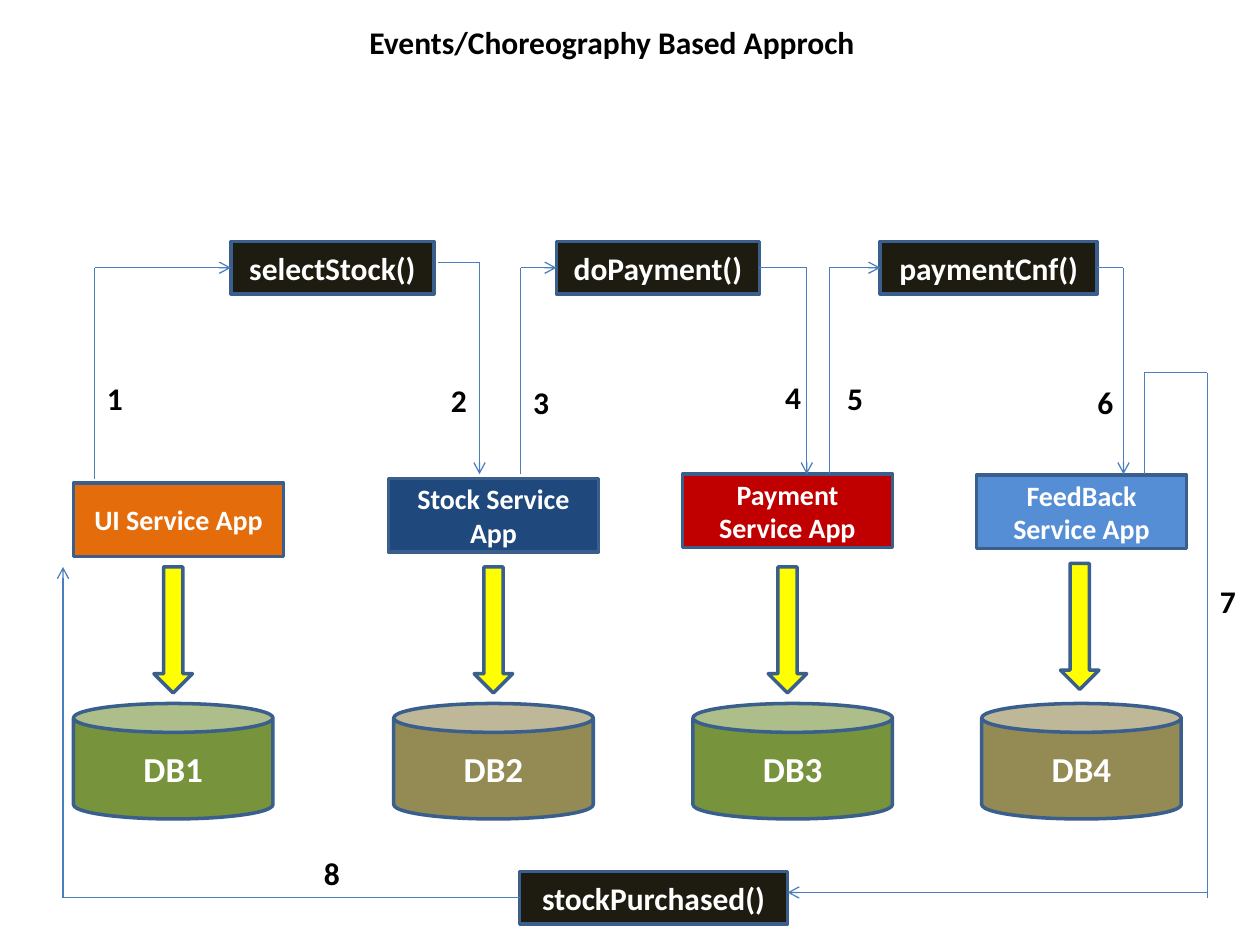
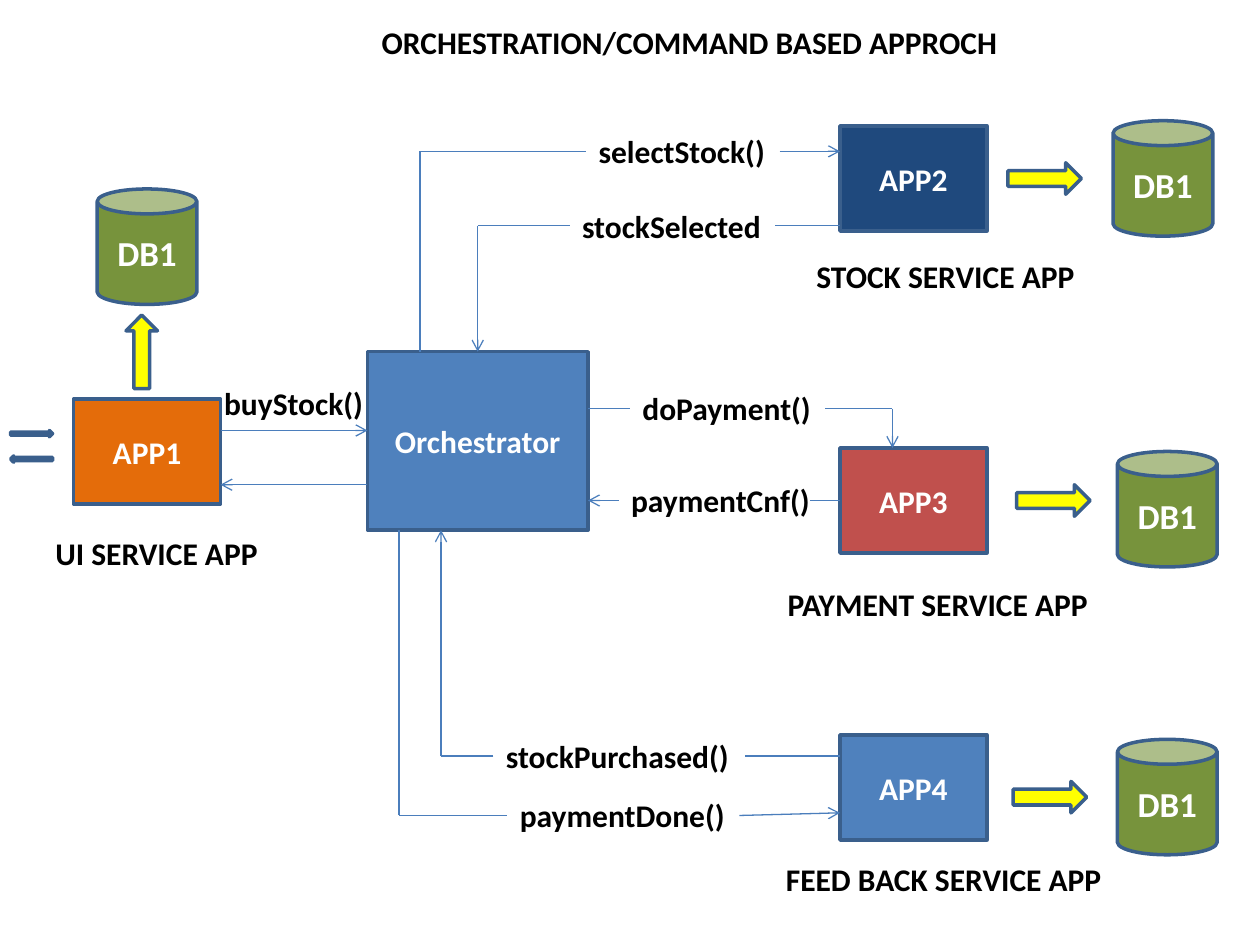
from lxml.etree import SubElement
from pptx import Presentation
from pptx.dml.color import RGBColor
from pptx.enum.shapes import MSO_CONNECTOR, MSO_SHAPE
from pptx.enum.text import MSO_ANCHOR, MSO_AUTO_SIZE, PP_ALIGN
from pptx.oxml.ns import qn
from pptx.util import Pt

COLORS = {
    "outline": "3A5F8C", "wire": "4B7EBC", "arrow": "FFFF00",
    "white": "FFFFFF", "black": "000000", "event": "1E1C11",
    "orange": "E46C0A", "navy": "1F497D", "red": "C00000", "sky": "558ED5",
    "brick": "C0504D", "blue": "4F81BD", "green": "77933C", "tan": "948A54",
}
FONT = {"name": "Calibri", "bold": True}
SHAPE_FRAME = {"word_wrap": True, "vertical_anchor": MSO_ANCHOR.MIDDLE}
LABEL_FRAME = {"word_wrap": False, "auto_size": MSO_AUTO_SIZE.SHAPE_TO_FIT_TEXT}
LABEL_H = 29
BOTTOM, LEFT, TOP, RIGHT = 2, 1, 0, 3


def rgb(name):
    """Return the palette colour with this name."""
    return RGBColor.from_string(COLORS[name])


def set_all(obj, formats):
    """Set every attribute in a dict of format values."""
    for key, value in formats.items():
        setattr(obj, key, value)


def write(sp, text, size, color, frame, align):
    """Put one formatted paragraph in a shape."""
    tf = sp.text_frame
    set_all(tf, frame)
    p = tf.paragraphs[0]
    p.alignment = align
    r = p.add_run()
    r.text = text
    set_all(r.font, {**FONT, "size": Pt(size)})
    r.font.color.rgb = rgb(color)


def add_box(s, kind, x, y, w, h, fill, text="", size=18):
    """Add an outlined preset shape, with centred white text if given."""
    sp = s.shapes.add_shape(kind, Pt(x), Pt(y), Pt(w), Pt(h))
    sp.shadow.inherit = False
    sp.fill.solid()
    sp.fill.fore_color.rgb = rgb(fill)
    sp.line.color.rgb = rgb("outline")
    sp.line.width = Pt(2)
    if text:
        write(sp, text, size, "white", SHAPE_FRAME, PP_ALIGN.CENTER)
    return sp


def add_rect(s, x, y, w, h, fill, text, size=18):
    """Add a labelled rectangle."""
    return add_box(s, MSO_SHAPE.RECTANGLE, x, y, w, h, fill, text, size)


def add_db(s, x, y, w, fill, text):
    """Add a database cylinder."""
    return add_box(s, MSO_SHAPE.CAN, x, y, w, 66, fill, text, 20)


def add_label(s, text, x, y, w):
    """Add a one-line black label."""
    sp = s.shapes.add_textbox(Pt(x), Pt(y), Pt(w), Pt(LABEL_H))
    write(sp, text, 18, "black", LABEL_FRAME, PP_ALIGN.LEFT)


def add_wire(s, *points, arrow=True, start=None, end=None):
    """Join points by straight connectors, with an arrowhead on the last."""
    wires = []
    for (x1, y1), (x2, y2) in zip(points, points[1:]):
        c = s.shapes.add_connector(
            MSO_CONNECTOR.STRAIGHT, Pt(x1), Pt(y1), Pt(x2), Pt(y2))
        c.line.color.rgb = rgb("wire")
        c.line.width = Pt(0.75)
        SubElement(c._element.spPr, qn("a:effectLst"))
        wires.append(c)
    if start:
        wires[0].begin_connect(*start)
    if end:
        wires[-1].end_connect(*end)
    if arrow:
        ln = wires[-1].line._get_or_add_ln()
        SubElement(ln, qn("a:tailEnd"), type="arrow")


def build_choreography(s):
    """Draw the services that call each other by events."""
    add_label(s, "Events/Choreography Based Approch", 204, 9.5, 324)

    services = [
        ("UI Service App", "orange", 42, 276, 42, 99, 324),
        ("Stock Service App", "navy", 222, 273.5, 225, 282, 324),
        ("Payment Service App", "red", 390, 271, 396, 450, 324),
        ("FeedBack Service App", "sky", 558, 271.5, 561, 617, 322),
    ]
    for i, (name, fill, x, y, db_x, arrow_mid, arrow_y) in enumerate(services):
        add_rect(s, x, y, 120, 42, fill, name, 16)
        add_db(s, db_x, 402, 114, ("green", "tan")[i % 2], f"DB{i + 1}")
        add_box(s, MSO_SHAPE.DOWN_ARROW, arrow_mid - 11, arrow_y, 22, 72, "arrow")

    events = [("selectStock()", 132, 138, 116), ("doPayment()", 318, 138, 116),
              ("paymentCnf()", 503, 138, 124), ("stockPurchased()", 297, 498, 153)]
    select, pay, confirm, purchased = [
        add_rect(s, x, y, w, 30, "event", name) for name, x, y, w in events]

    add_wire(s, (54, 274), (54, 153), (132, 153), end=(select, LEFT))
    add_wire(s, (250.5, 150), (274, 150), (274, 271))
    add_wire(s, (297.5, 271), (297.5, 153), (318, 153), end=(pay, LEFT))
    add_wire(s, (434, 153), (461, 153), (461, 271), start=(pay, RIGHT))
    add_wire(s, (474, 271), (474, 153), (503, 153), end=(confirm, LEFT))
    add_wire(s, (627, 153), (642, 153), (642, 271), start=(confirm, RIGHT))
    add_wire(s, (654, 271), (654, 213), (690, 213), (690, 513), arrow=False)
    add_wire(s, (690, 510), (450, 510))
    add_wire(s, (297, 513), (36, 513), (36, 324), start=(purchased, LEFT))

    steps = [(54, 213), (250.5, 214), (297.5, 215.5), (441.5, 212.5),
             (477, 213), (620, 215.5), (690, 329), (178, 484.5)]
    for number, (x, y) in enumerate(steps, 1):
        add_label(s, str(number), x, y, 24)


def build_orchestration(s):
    """Draw the orchestrator that commands the services."""
    add_label(s, "ORCHESTRATION/COMMAND BASED APPROCH", 211, 9.5, 369)

    add_rect(s, 42, 228, 84, 60, "orange", "APP1")
    add_db(s, 55.5, 108, 57, "green", "DB1")
    up = add_box(s, MSO_SHAPE.RIGHT_ARROW, 60, 192, 42, 18, "arrow")
    up.rotation = 270
    add_box(s, MSO_SHAPE.RIGHT_ARROW, 6, 246, 24, 3.6, "arrow")
    add_box(s, MSO_SHAPE.LEFT_ARROW, 6, 260.5, 24, 3.6, "blue")

    services = [
        ("APP2", "navy", 72, 576, 93, 636, 69),
        ("APP3", "brick", 256, 581, 277, 638.5, 258),
        ("APP4", "blue", 420, 579, 446.5, 638.5, 422.5),
    ]
    apps = {}
    for name, fill, y, arrow_x, arrow_y, db_x, db_y in services:
        apps[name] = add_rect(s, 480, y, 84, 60, fill, name)
        add_box(s, MSO_SHAPE.RIGHT_ARROW, arrow_x, arrow_y, 42, 18, "arrow")
        add_db(s, db_x, db_y, 57, "green", "DB1")
    hub = add_rect(s, 210, 201, 126, 102, "blue", "Orchestrator")

    add_wire(s, (126, 246), (210, 246))
    add_wire(s, (210, 277), (126, 277))
    add_wire(s, (240, 201), (240, 86.5), (335, 86.5), arrow=False)
    add_wire(s, (445.5, 86.5), (480, 86.5))
    add_wire(s, (480, 129), (443, 129), arrow=False)
    add_wire(s, (325.5, 129), (273, 129), (273, 201), end=(hub, TOP))
    add_wire(s, (336, 233.5), (360, 233.5), arrow=False)
    add_wire(s, (471.5, 233.5), (510, 233.5), (510, 256))
    add_wire(s, (480, 286), (463, 286), arrow=False, start=(apps["APP3"], LEFT))
    add_wire(s, (353.5, 286), (336, 286))
    add_wire(s, (228, 303), (228, 466), (290, 466), arrow=False)
    add_wire(s, (422.5, 466), (480, 464.5))
    add_wire(s, (480, 432), (425.5, 432), arrow=False)
    add_wire(s, (282, 432), (252, 432), (252, 303))

    labels = [
        ("buyStock()", 121, 216, 94.5), ("selectStock()", 335, 72, 110.5),
        ("stockSelected", 325.5, 114.5, 117.5), ("doPayment()", 360, 219, 111.5),
        ("paymentCnf()", 353.5, 271.5, 117.5),
        ("stockPurchased()", 282, 417.5, 143), ("paymentDone()", 290, 451.5, 132.5),
        ("UI SERVICE APP", 24.5, 301.5, 131), ("STOCK SERVICE APP", 459.5, 143.5, 163.5),
        ("PAYMENT SERVICE APP", 443, 330.5, 187), ("FEED BACK SERVICE APP", 442, 488, 196.5),
    ]
    for label in labels:
        add_label(s, *label)


def main():
    """Build and save both slides."""
    prs = Presentation()
    set_all(prs, {"slide_width": Pt(720), "slide_height": Pt(540)})
    for build in (build_choreography, build_orchestration):
        build(prs.slides.add_slide(prs.slide_layouts[6]))
    prs.save("out.pptx")


if __name__ == "__main__":
    main()
